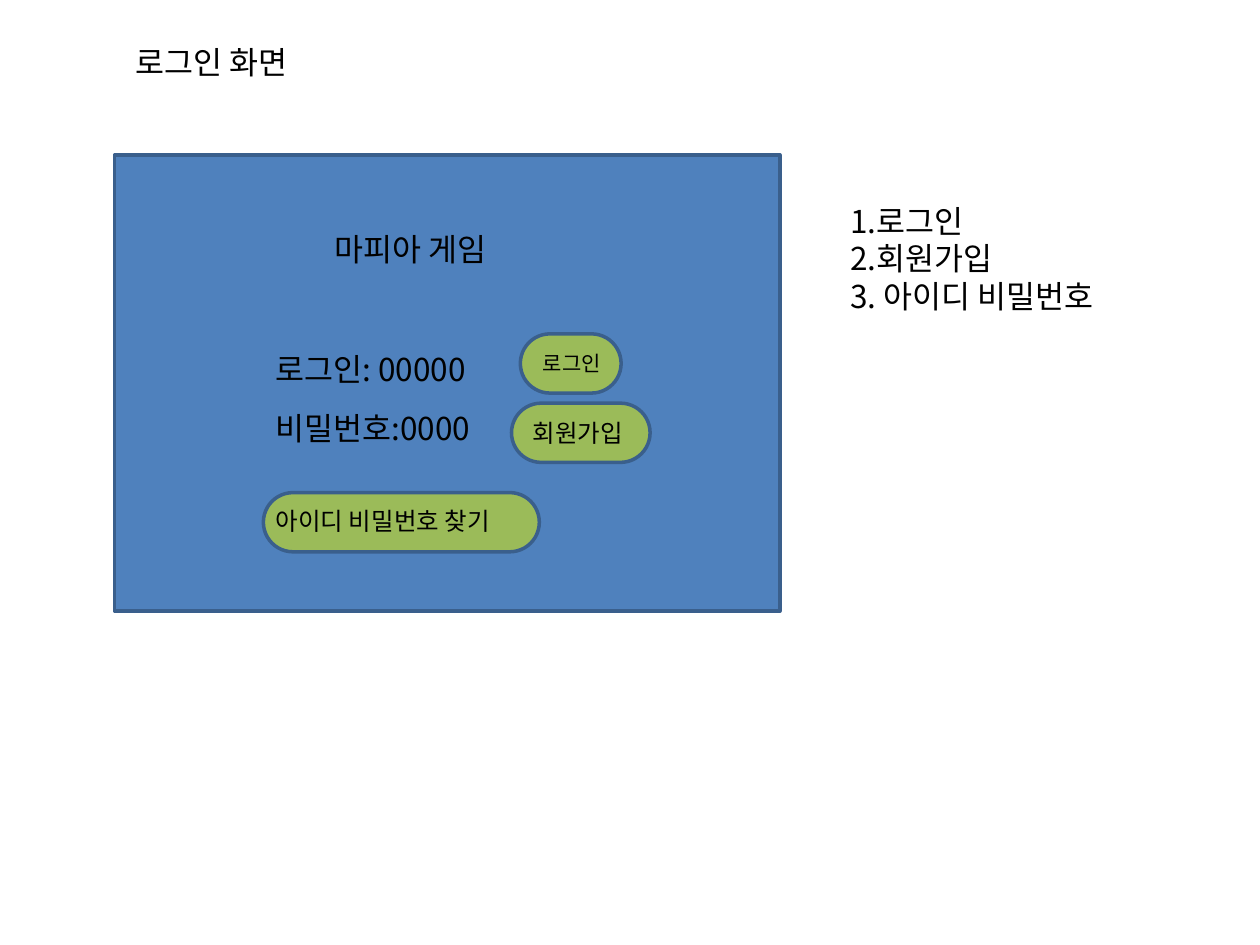
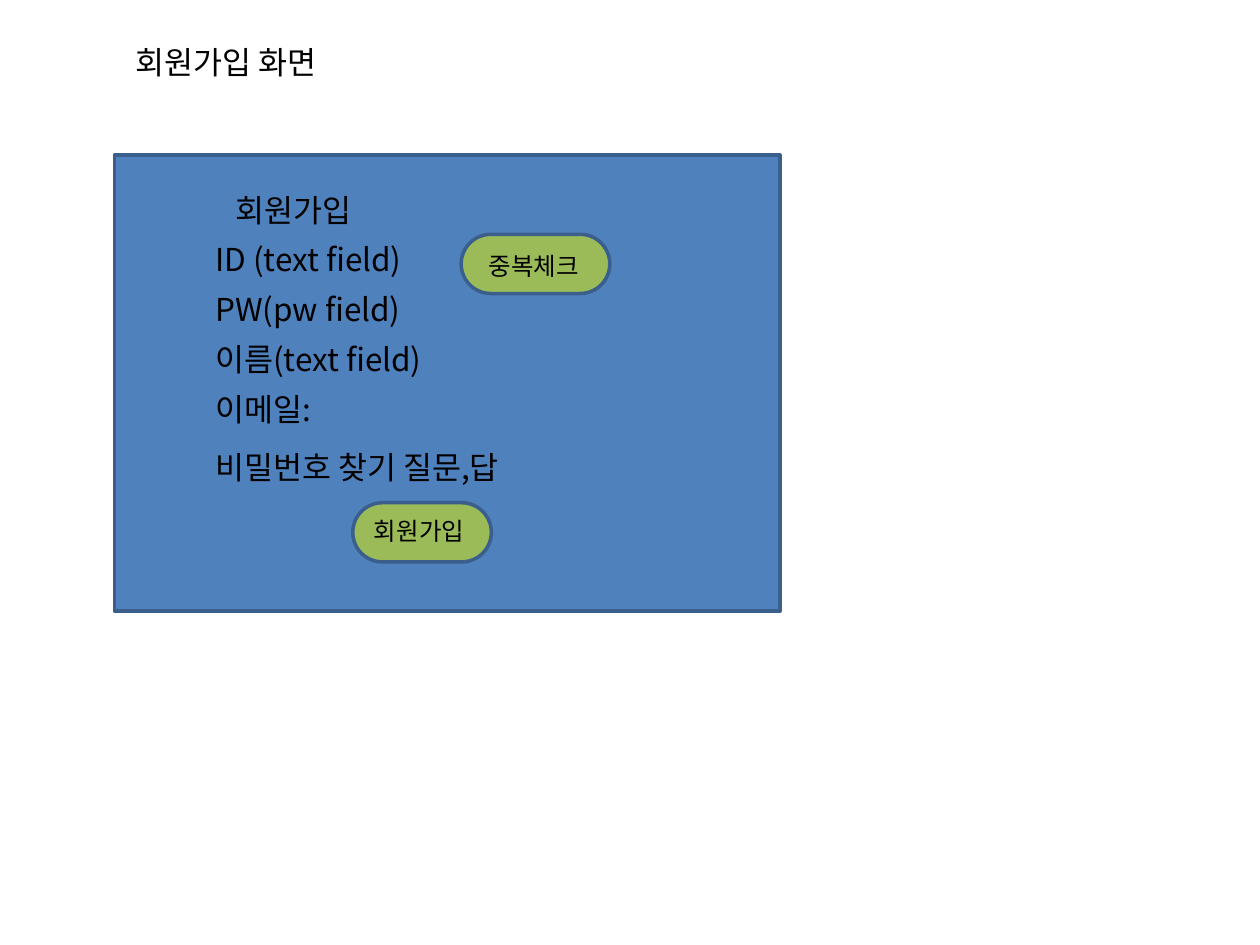
from lxml import etree
from pptx import Presentation
from pptx.dml.color import RGBColor
from pptx.enum.shapes import MSO_SHAPE
from pptx.enum.text import MSO_AUTO_SIZE
from pptx.oxml.ns import qn
from pptx.util import Inches, Pt

RECTANGLE = MSO_SHAPE.RECTANGLE
ROUNDED = MSO_SHAPE.ROUNDED_RECTANGLE
GROW = MSO_AUTO_SIZE.SHAPE_TO_FIT_TEXT
BLANK_LAYOUT = 6
COLUMNS, ROWS = 100, 75
FORM_STEP = 3.95
BUTTON_HEIGHT = 4.7


def color(value):
    return RGBColor.from_string(value)


def write(frame, text, size=18, font="Noto Sans CJK KR", ink="000000"):
    frame.word_wrap = True
    frame.auto_size = GROW
    for index, line in enumerate(text.split("\n")):
        paragraph = frame.paragraphs[0] if index == 0 else frame.add_paragraph()
        run = paragraph.add_run()
        run.text = line
        run.font.size = Pt(size)
        run.font.color.rgb = color(ink)
        run.font.name = font
        east_asian = etree.SubElement(run.font._element, qn("a:ea"))
        east_asian.set("typeface", font)


class Mockup:
    """Draws screen mockups on a grid of 100 columns by 75 rows."""

    panel_fill = "4F81BD"
    button_fill = "9BBB59"
    outline = "3A5F8C"

    def __init__(self, width=10, height=7.5):
        self.presentation = Presentation()
        self.presentation.slide_width = Inches(width)
        self.presentation.slide_height = Inches(height)
        self.slide = None

    def place(self, column, row, width, height):
        cell_width = self.presentation.slide_width / COLUMNS
        cell_height = self.presentation.slide_height / ROWS
        return [round(column * cell_width), round(row * cell_height),
                round(width * cell_width), round(height * cell_height)]

    def screen(self, title):
        layout = self.presentation.slide_layouts[BLANK_LAYOUT]
        self.slide = self.presentation.slides.add_slide(layout)
        self.text(title, 9.8, 2.9, 24.4)
        self.box(self.slide.shapes, RECTANGLE, self.panel_fill, 9.1, 12.3, 52.8, 36.2)

    def box(self, shapes, kind, fill, *area):
        shape = shapes.add_shape(kind, *self.place(*area))
        shape.shadow.inherit = False
        shape.fill.solid()
        shape.fill.fore_color.rgb = color(fill)
        shape.line.color.rgb = color(self.outline)
        shape.line.width = Pt(2)
        return shape

    def text(self, text, column, row, width, height=4, shapes=None, **style):
        shapes = shapes or self.slide.shapes
        box = shapes.add_textbox(*self.place(column, row, width, height))
        write(box.text_frame, text, **style)

    def button(self, text, column, row, width, indent=0.7, drop=0.7,
               label_width=11, label_height=3.4, size=14):
        shapes = self.slide.shapes.add_group_shape().shapes
        pill = self.box(shapes, ROUNDED, self.button_fill, column, row, width, BUTTON_HEIGHT)
        pill.adjustments[0] = 0.5
        self.text(text, column + indent, row + drop, label_width, label_height,
                  shapes=shapes, size=size)


def login_screen(mockup):
    mockup.screen("로그인 화면")
    mockup.text("로그인: 00000", 20.9, 27.3, 22.8)
    mockup.text("비밀번호:0000", 20.9, 32, 22.8)
    mockup.text("마피아 게임", 25.6, 17.8, 17.3)
    mockup.button("로그인", 41.3, 26.5, 8, indent=0.8, drop=0.8,
                  label_width=7.1, label_height=3, size=12)
    mockup.button("회원가입", 40.6, 32, 11)
    mockup.button("아이디 비밀번호 찾기", 20.9, 39.1, 21.9, indent=0, drop=0.6,
                  label_width=23.6, label_height=5.7)
    mockup.text("1.로그인\n2.회원가입\n3. 아이디 비밀번호", 66.5, 15.5, 28.3, 10.1)


def signup_screen(mockup):
    mockup.screen("회원가입 화면")
    mockup.text("회원가입", 17.7, 14.7, 17.3)
    fields = ["ID (text field)", "PW(pw field)", "이름(text field)", "이메일:"]
    for index, field in enumerate(fields):
        mockup.text(field, 16.1, 18.6 + index * FORM_STEP, 22.8)
    mockup.text("비밀번호 찾기 질문,답", 16.1, 35.1, 34.6)
    mockup.button("중복체크", 36.6, 18.6, 11.8, indent=1.2, drop=0.8,
                  label_width=10.4, label_height=5.7)
    mockup.button("회원가입", 28, 39.9, 11, drop=0.6)


mockup = Mockup()
login_screen(mockup)
signup_screen(mockup)
mockup.presentation.save("out.pptx")
